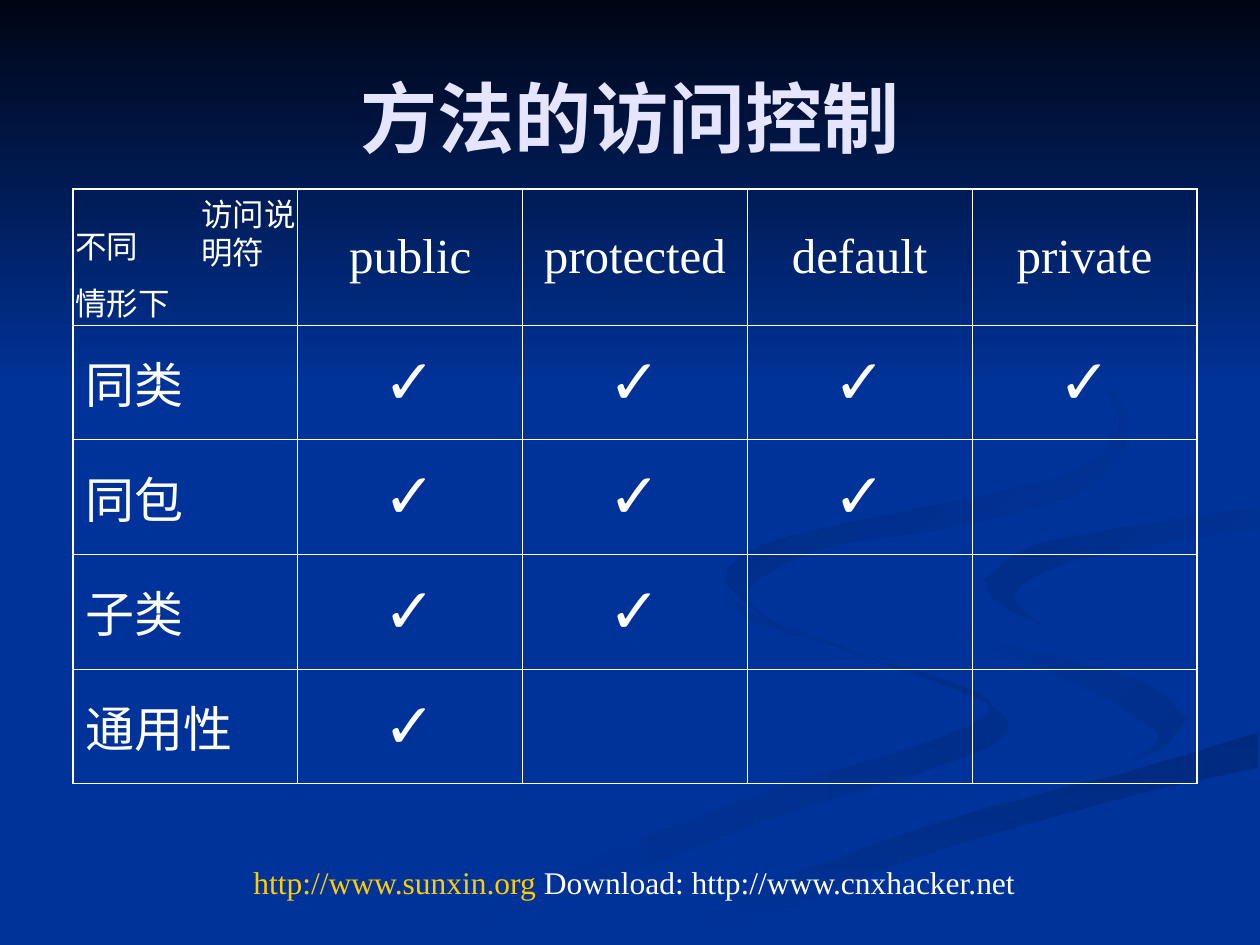
"""Build the slide with the table of method access control over a backdrop of curved ribbons."""
from lxml import etree
from pptx import Presentation
from pptx.dml.color import RGBColor
from pptx.enum.text import MSO_ANCHOR, PP_ALIGN
from pptx.oxml.ns import qn
from pptx.util import Pt

CENTER, LEFT = PP_ALIGN.CENTER, PP_ALIGN.LEFT
MIDDLE = MSO_ANCHOR.MIDDLE
PX = 9144
WIDTH, HEIGHT = 1000, 750
CURVE_STEPS = 6
COLORS = {
    "blue": "003399",
    "night": "000514",
    "shade": "002E8B",
    "shade_deep": "002A7D",
    "shade_inner": "002D86",
    "shade_upper": "002B82",
    "title": "E5E5FF",
    "white": "FFFFFF",
    "gold": "FFCC00",
}
SERIF, SANS = "Times New Roman", "Arial"
CHECK = "✓"


def format_run(run, size, color, font=SERIF):
    run.font.size = Pt(size)
    run.font.name = font
    run.font.color.rgb = RGBColor.from_string(COLORS[color])


def add_label(left, top, width, height, lines, align=LEFT):
    shape = slide.shapes.add_textbox(left * PX, top * PX, width * PX, height * PX)
    frame = shape.text_frame
    frame.word_wrap = True
    frame.text = "\n".join(lines)
    for index, paragraph in enumerate(frame.paragraphs):
        paragraph.alignment = align
        if index:
            paragraph.space_before = Pt(11.2)
        for run in paragraph.runs:
            format_run(run, 18, "white")
    return frame


presentation = Presentation()
presentation.slide_width = WIDTH * PX
presentation.slide_height = HEIGHT * PX
slide = presentation.slides.add_slide(presentation.slide_layouts[5])
slide.background.fill.solid()
slide.background.fill.fore_color.rgb = RGBColor.from_string(COLORS["blue"])

edge_waypoints = {
    "left_outer": [(575, 459), (593, 491), (679, 519), (786, 566), (579, 639), (300, 749)],
    "left_inner": [(575, 459), (594, 485), (682, 519), (800, 581), (594, 656), (361, 749)],
    "middle_bend": [(725, 464), (759, 498), (831, 519), (905, 540), (943, 570)],
    "curl_tip": [(943, 570), (932, 589), (894, 605)],
    "curl_inner": [(725, 464), (746, 500), (838, 536), (918, 581), (894, 605)],
    "middle_tail": [(943, 570), (911, 600), (813, 625), (663, 668), (477, 749)],
    "floor_top": [(999, 581), (903, 610), (764, 647), (630, 693), (503, 749)],
    "floor_base": [(999, 609), (903, 630), (752, 672), (649, 710), (571, 749)],
    "right_crest": [(999, 387), (851, 411), (755, 432), (725, 464)],
    "right_rim": [(999, 402), (898, 418), (821, 433), (781, 460)],
    "right_return": [(781, 460), (804, 485), (866, 509), (999, 538)],
    "hook_tip": [(781, 460), (791, 478), (826, 496)],
    "hook_inner": [(999, 420), (936, 429), (843, 448), (805, 472), (826, 496)],
    "upper_outer": [(762, 233), (864, 291), (894, 344), (855, 391), (739, 421),
                    (649, 436), (593, 470), (622, 500)],
    "upper_inner": [(762, 233), (846, 279), (889, 335), (842, 378), (704, 409),
                    (605, 433), (577, 462), (622, 500)],
}

edges = {"band_top": [(0, 0), (WIDTH, 0)], "band_base": [(0, 308), (WIDTH, 308)]}
for name, waypoints in edge_waypoints.items():
    padded = [waypoints[0], *waypoints, waypoints[-1]]
    edges[name] = [waypoints[0]]
    for before, start, end, after in zip(padded, padded[1:], padded[2:], padded[3:]):
        for step in range(1, CURVE_STEPS + 1):
            t = step / CURVE_STEPS
            weights = (
                (-t + 2 * t**2 - t**3) / 2,
                (2 - 5 * t**2 + 3 * t**3) / 2,
                (t + 4 * t**2 - 3 * t**3) / 2,
                (-(t**2) + t**3) / 2,
            )
            edges[name].append(tuple(
                round(sum(weight * value for weight, value in zip(weights, values)))
                for values in zip(before, start, end, after)
            ))

backdrop = [
    (["left_outer"], ["left_inner"], "blue", "shade", 0),
    (["middle_bend", "curl_tip"], ["curl_inner"], "blue", "shade", 45),
    (["floor_top"], ["floor_base"], "shade_deep", "blue", 90),
    (["right_crest", "middle_bend", "middle_tail"],
     ["right_rim", "right_return", "floor_top"], "blue", "blue", 0),
    (["right_rim", "hook_tip"], ["hook_inner"], "shade_inner", "blue", 45),
    (["upper_outer"], ["upper_inner"], "shade_upper", "blue", 45),
    (["band_top"], ["band_base"], "night", "blue", 90),
]
for near_side, far_side, start_color, end_color, angle in backdrop:
    near_points = [point for name in near_side for point in edges[name]]
    far_points = [point for name in far_side for point in edges[name]]
    outline = near_points + far_points[::-1]
    builder = slide.shapes.build_freeform(*outline[0], scale=PX)
    builder.add_line_segments(outline[1:], close=True)
    shape = builder.convert_to_shape()
    shape.shadow.inherit = False
    shape.line.fill.background()
    shape.fill.gradient()
    shape.fill.gradient_angle = (360 - angle) % 360
    for position, color in enumerate((start_color, end_color)):
        stop = shape.fill.gradient_stops[position]
        stop.color.rgb = RGBColor.from_string(COLORS[color])
        stop.position = position

title = slide.shapes.title
title.left, title.top, title.width, title.height = 50 * PX, 30 * PX, 900 * PX, 125 * PX
title.text_frame.text = "方法的访问控制"
title.text_frame.vertical_anchor = MIDDLE
title.text_frame.paragraphs[0].alignment = CENTER
title_run = title.text_frame.paragraphs[0].runs[0]
format_run(title_run, 44, "title")
title_run.font.bold = True
slide.shapes._spTree.append(title._element)

modifiers = ["public", "protected", "default", "private"]
allowed_modifiers = {"同类": 4, "同包": 3, "子类": 2, "通用性": 1}
rows = [["", *modifiers]]
for scope, allowed in allowed_modifiers.items():
    rows.append([scope] + [CHECK] * allowed + [""] * (len(modifiers) - allowed))
row_count, column_count = len(rows), len(rows[0])
table_width, table_height, header_height = 892, 472, 108
body_height = (table_height - header_height) // (row_count - 1)
table = slide.shapes.add_table(
    row_count, column_count, 58 * PX, 150 * PX, table_width * PX, table_height * PX
).table
table.first_row = False
table.horz_banding = False
for column in table.columns:
    column.width = table_width * PX // column_count
for index, row in enumerate(table.rows):
    row.height = (body_height if index else header_height) * PX

for row_index, row in enumerate(rows):
    for column_index, text in enumerate(row):
        cell = table.cell(row_index, column_index)
        cell.fill.background()
        cell.vertical_anchor = MIDDLE
        cell.text_frame.text = text
        paragraph = cell.text_frame.paragraphs[0]
        paragraph.alignment = CENTER if column_index else LEFT
        size, font = (36, SANS) if text == CHECK else (28, SERIF)
        for run in paragraph.runs:
            format_run(run, size, "white", font)
        outer_edges = {
            "a:lnL": column_index == 0,
            "a:lnR": column_index == column_count - 1,
            "a:lnT": row_index == 0,
            "a:lnB": row_index == row_count - 1,
        }
        properties = cell._tc.get_or_add_tcPr()
        for position, (tag, outer) in enumerate(outer_edges.items()):
            border = etree.Element(qn(tag), w=str(Pt(1.08 if outer else 0.45)))
            fill = etree.SubElement(border, qn("a:solidFill"))
            etree.SubElement(fill, qn("a:srgbClr"), val=COLORS["white"])
            properties.insert(position, border)

add_label(50, 175, 108, 86, ["不同", "情形下"])
add_label(150, 150, 100, 70, ["访问说明符"])
footer = add_label(177, 680, 653, 70, ["http://www.sunxin.org"], CENTER).paragraphs[0]
format_run(footer.runs[0], 18, "gold")
download_run = footer.add_run()
download_run.text = " Download: http://www.cnxhacker.net"
format_run(download_run, 18, "white")

presentation.save("out.pptx")
